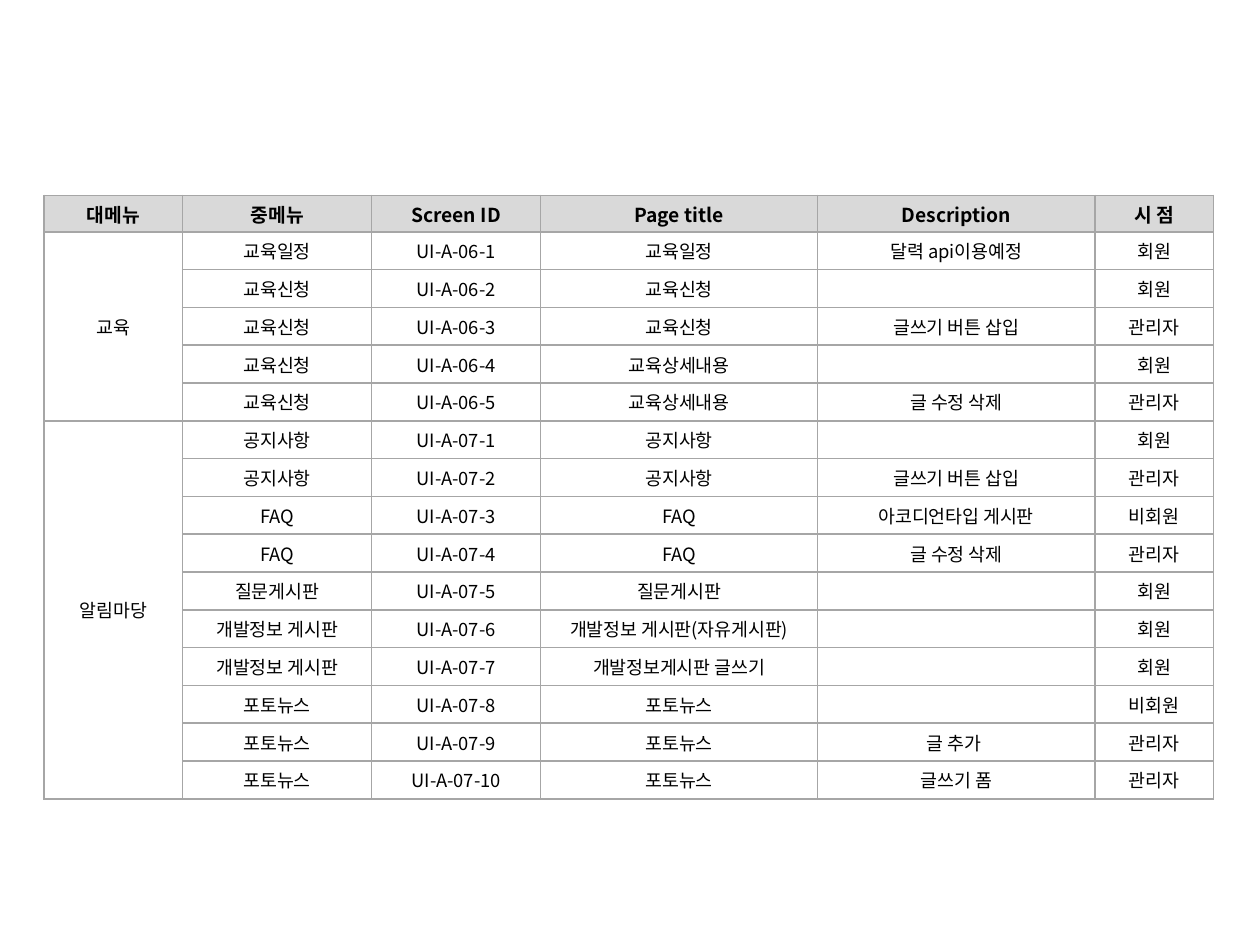
from dataclasses import dataclass

from lxml.etree import SubElement
from pptx import Presentation
from pptx.dml.color import RGBColor
from pptx.enum.text import MSO_ANCHOR as Anchor, PP_ALIGN as Align
from pptx.oxml.ns import qn
from pptx.util import Inches, Pt


@dataclass(frozen=True)
class Theme:
    font: str = "Noto Sans CJK KR"
    text: RGBColor = RGBColor(0, 0, 0)
    header_fill: RGBColor = RGBColor(0xD9, 0xD9, 0xD9)
    border: str = "A6A6A6"
    border_width: int = Pt(1)
    header_size: int = Pt(11)
    body_size: int = Pt(10.5)


THEME = Theme()
HEADINGS = ["대메뉴", "중메뉴", "Screen ID", "Page title", "Description", "시 점"]
COLUMN_WIDTHS = [1.1, 1.5, 1.34, 2.2, 2.2, 0.94]
HEADER_HEIGHT, ROW_HEIGHT = 0.29, 0.3
MENUS = [
    ("교육", "06", [
        ("교육일정", "교육일정", "달력 api이용예정", "회원"),
        ("교육신청", "교육신청", "", "회원"),
        ("교육신청", "교육신청", "글쓰기 버튼 삽입", "관리자"),
        ("교육신청", "교육상세내용", "", "회원"),
        ("교육신청", "교육상세내용", "글 수정 삭제", "관리자"),
    ]),
    ("알림마당", "07", [
        ("공지사항", "공지사항", "", "회원"),
        ("공지사항", "공지사항", "글쓰기 버튼 삽입", "관리자"),
        ("FAQ", "FAQ", "아코디언타입 게시판", "비회원"),
        ("FAQ", "FAQ", "글 수정 삭제", "관리자"),
        ("질문게시판", "질문게시판", "", "회원"),
        ("개발정보 게시판", "개발정보 게시판(자유게시판)", "", "회원"),
        ("개발정보 게시판", "개발정보게시판 글쓰기", "", "회원"),
        ("포토뉴스", "포토뉴스", "", "비회원"),
        ("포토뉴스", "포토뉴스", "글 추가 ", "관리자"),
        ("포토뉴스", "포토뉴스", "글쓰기 폼", "관리자"),
    ]),
]


def outline_cell(cell):
    properties = cell._tc.get_or_add_tcPr()
    for side in ("a:lnL", "a:lnR", "a:lnT", "a:lnB"):
        line = SubElement(properties, qn(side), w=str(THEME.border_width))
        fill = SubElement(line, qn("a:solidFill"))
        SubElement(fill, qn("a:srgbClr"), val=THEME.border)


def write_cell(cell, text, header=False):
    size = THEME.header_size if header else THEME.body_size
    cell.vertical_anchor = Anchor.MIDDLE
    cell.margin_top = cell.margin_bottom = Inches(0.02)
    cell.margin_left = cell.margin_right = Inches(0.05)
    paragraph = cell.text_frame.paragraphs[0]
    paragraph.alignment = Align.CENTER
    if not text:
        SubElement(paragraph._p, qn("a:endParaRPr"), sz=str(int(size.pt * 100)))
        return
    run = paragraph.add_run()
    run.text = text
    font = run.font
    font.size, font.bold, font.name = size, header, THEME.font
    font.color.rgb = THEME.text
    SubElement(run._r.get_or_add_rPr(), qn("a:ea"), typeface=THEME.font)


def add_screen_list(slide, left, top, width, height):
    row_count = 1 + sum(len(screens) for _, _, screens in MENUS)
    table = slide.shapes.add_table(
        row_count, len(HEADINGS), left, top, width, height).table
    table.first_row = table.horz_banding = False
    for column, column_width in zip(table.columns, COLUMN_WIDTHS):
        column.width = Inches(column_width)
    for index, row in enumerate(table.rows):
        row.height = Inches(ROW_HEIGHT if index else HEADER_HEIGHT)
        for cell in row.cells:
            outline_cell(cell)
            if index:
                cell.fill.background()
            else:
                cell.fill.solid()
                cell.fill.fore_color.rgb = THEME.header_fill

    for column, heading in enumerate(HEADINGS):
        write_cell(table.cell(0, column), heading, header=True)
    first = 1
    for menu, code, screens in MENUS:
        last = first + len(screens) - 1
        table.cell(first, 0).merge(table.cell(last, 0))
        write_cell(table.cell(first, 0), menu)
        for number, (submenu, *details) in enumerate(screens, 1):
            values = [submenu, f"UI-A-{code}-{number}", *details]
            for column, value in enumerate(values, 1):
                write_cell(table.cell(first + number - 1, column), value)
        first = last + 1


def main():
    deck = Presentation()
    deck.slide_width, deck.slide_height = Inches(10), Inches(7.5)
    slide = deck.slides.add_slide(deck.slide_layouts[6])
    add_screen_list(slide, Inches(0.35), Inches(1.55), Inches(9.29), Inches(4.74))
    deck.save("out.pptx")


if __name__ == "__main__":
    main()
